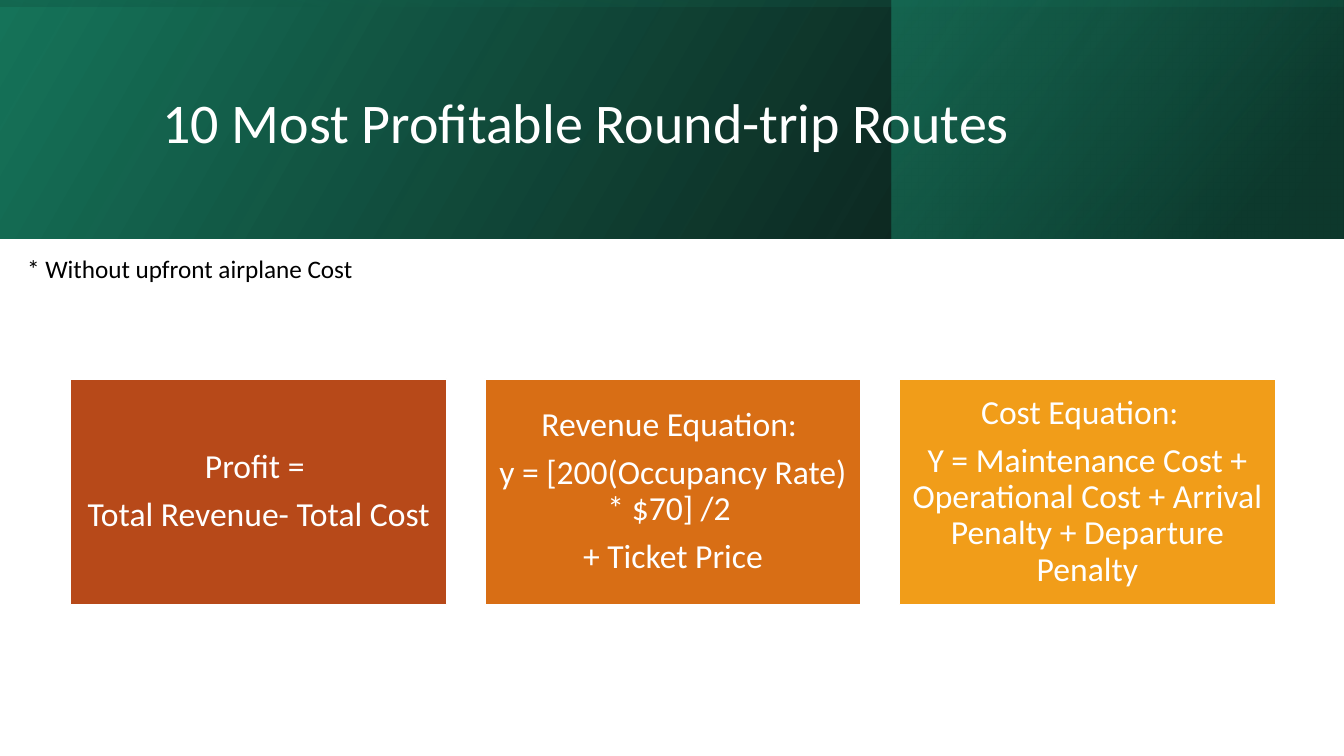
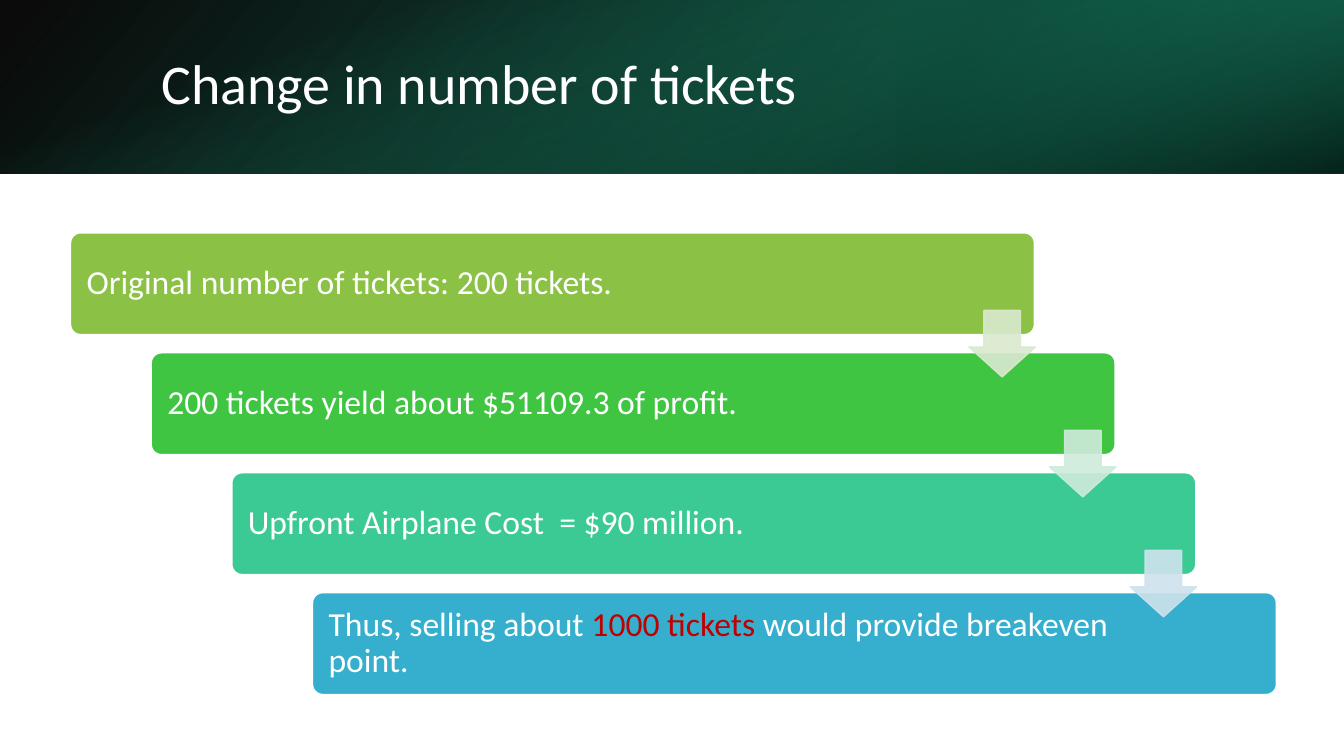
import pptx
import pptx.dml.color
import pptx.enum.shapes
import pptx.enum.text
import pptx.oxml
import pptx.oxml.ns
import pptx.util
from lxml import etree

Inches = pptx.util.Inches
Pt = pptx.util.Pt
Shape = pptx.enum.shapes.MSO_SHAPE
Align = pptx.enum.text.PP_ALIGN
Anchor = pptx.enum.text.MSO_ANCHOR
AutoSize = pptx.enum.text.MSO_AUTO_SIZE
qn = pptx.oxml.ns.qn


def rgb(value):
    return pptx.dml.color.RGBColor.from_string(value)


class Deck:
    FONT = "Calibri"
    WHITE, BLACK, RED = "FFFFFF", "000000", "C00000"
    DARK_GREEN, GREEN, BRIGHT_GREEN = "0E4D3C", "16745A", "1D9A78"
    WIDTH, HEIGHT = 13.33, 7.5
    TITLE_SIZE, BODY_SIZE, NOTE_SIZE = 40, 24, 18

    def __init__(self):
        self.presentation = pptx.Presentation()
        self.presentation.slide_width = Inches(self.WIDTH)
        self.presentation.slide_height = Inches(self.HEIGHT)
        self.slide = None

    def add_slide(self):
        title_only = self.presentation.slide_layouts[5]
        self.slide = self.presentation.slides.add_slide(title_only)

    def shape(self, kind, left, top, width, height):
        shape = self.slide.shapes.add_shape(
            kind, Inches(left), Inches(top), Inches(width), Inches(height))
        shape.shadow.inherit = False
        return shape

    def paint(self, shape, color, line_color, opacity=100):
        shape.fill.solid()
        shape.fill.fore_color.rgb = rgb(color)
        shape.line.color.rgb = rgb(line_color)
        shape.line.width = Pt(1)
        if opacity < 100:
            for element in list(shape._element.spPr.iter(qn("a:srgbClr"))):
                etree.SubElement(element, qn("a:alpha"), val=str(opacity * 1000))

    def band(self, left, width, height, stops, angle, rotation=0, flip=True):
        """Gradient band; stops are (position, color, opacity) in percent."""
        frame_width, frame_height = width, height
        if rotation % 180:
            frame_width, frame_height = height, width
        shape = self.shape(
            Shape.RECTANGLE, left + (width - frame_width) / 2,
            (height - frame_height) / 2, frame_width, frame_height)
        shape.rotation = rotation
        if flip:
            shape._element.spPr.find(qn("a:xfrm")).set("flipH", "1")
        shape.line.fill.background()
        stop_xml = "".join(
            f'<a:gs pos="{position * 1000}"><a:srgbClr val="{color}">'
            f'<a:alpha val="{opacity * 1000}"/></a:srgbClr></a:gs>'
            for position, color, opacity in stops)
        gradient = pptx.oxml.parse_xml(
            f'<a:gradFill {pptx.oxml.ns.nsdecls("a")} rotWithShape="1">'
            f'<a:gsLst>{stop_xml}</a:gsLst>'
            f'<a:lin ang="{angle * 60000}" scaled="0"/></a:gradFill>')
        shape._element.spPr.find(qn("a:prstGeom")).addnext(gradient)

    def style(self, paragraph, size, color, align=Align.LEFT):
        paragraph.alignment = align
        paragraph.font.name = self.FONT
        paragraph.font.size = Pt(size)
        paragraph.font.color.rgb = rgb(color)

    def title(self, text, left, top, width, height):
        title = self.slide.shapes.title
        title.left, title.top = Inches(left), Inches(top)
        title.width, title.height = Inches(width), Inches(height)
        frame = title.text_frame
        frame.text = text
        frame.auto_size = AutoSize.NONE
        frame.vertical_anchor = Anchor.MIDDLE
        self.style(frame.paragraphs[0], self.TITLE_SIZE, self.WHITE)
        frame.paragraphs[0].line_spacing = 0.9
        # Bring the title in front of the bands
        self.slide.shapes._spTree.append(title._element)

    def note(self, text, left, top, width, height):
        box = self.slide.shapes.add_textbox(
            Inches(left), Inches(top), Inches(width), Inches(height))
        box.text_frame.word_wrap = True
        box.text_frame.text = text
        self.style(box.text_frame.paragraphs[0], self.NOTE_SIZE, self.BLACK)

    def card(self, kind, left, top, width, height, color, paragraphs,
             align, margin_left=0.1, margin_right=0.1):
        """Filled box; each paragraph is a list of (text, color or None)."""
        shape = self.shape(kind, left, top, width, height)
        self.paint(shape, color, self.WHITE)
        frame = shape.text_frame
        frame.word_wrap = True
        frame.vertical_anchor = Anchor.MIDDLE
        frame.margin_left, frame.margin_right = Inches(margin_left), Inches(margin_right)
        frame.margin_top = frame.margin_bottom = Inches(0.1)
        for index, runs in enumerate(paragraphs):
            paragraph = frame.add_paragraph() if index else frame.paragraphs[0]
            self.style(paragraph, self.BODY_SIZE, self.WHITE, align)
            paragraph.line_spacing = 0.9
            paragraph.space_after = Pt(8.4)
            for text, run_color in runs:
                run = paragraph.add_run()
                run.text = text
                if run_color:
                    run.font.color.rgb = rgb(run_color)
        return shape

    def down_arrow(self, left, top, size, color):
        arrow = self.shape(Shape.DOWN_ARROW, left, top, size, size)
        arrow.adjustments[0], arrow.adjustments[1] = 0.55, 0.45
        self.paint(arrow, color, color, opacity=90)


def build_routes(deck):
    deck.add_slide()
    # Header
    height = 2.37
    deck.band(0, deck.WIDTH, height,
              [(0, deck.BLACK, 96), (100, deck.GREEN, 100)], 330)
    deck.band(8.84, 4.48, height,
              [(19, deck.DARK_GREEN, 68), (100, deck.BRIGHT_GREEN, 48)], 320)
    deck.band(0, deck.WIDTH, height,
              [(23, deck.GREEN, 16), (99, deck.BLACK, 45)], 350, rotation=270)
    deck.title("10 Most Profitable Round-trip Routes", 1.51, 0.38, 10.63, 1.72)

    # Equations
    equations = [
        ("B74919", ["Profit = ", "Total Revenue- Total Cost"]),
        ("D86E15", ["Revenue Equation: ", "y = [200(Occupancy Rate) * $70] /2 ",
                    "+ Ticket Price"]),
        ("F19D19", ["Cost Equation:  ", "Y = Maintenance Cost + Operational Cost "
                    "+ Arrival Penalty + Departure Penalty"]),
    ]
    for index, (color, lines) in enumerate(equations):
        deck.card(Shape.RECTANGLE, 0.7 + 4.11 * index, 3.76, 3.73, 2.24, color,
                  [[(line, None)] for line in lines], Align.CENTER)
    deck.note("* Without upfront airplane Cost", 0.17, 2.46, 3.94, 0.4)


def build_tickets(deck):
    deck.add_slide()
    # Header
    height = 1.72
    deck.band(0, deck.WIDTH, height,
              [(0, deck.BLACK, 96), (100, deck.GREEN, 100)], 140)
    deck.band(8.89, 4.44, height,
              [(19, deck.DARK_GREEN, 68), (100, deck.BRIGHT_GREEN, 79)], 320,
              rotation=180)
    deck.band(0, deck.WIDTH, height,
              [(23, deck.BRIGHT_GREEN, 0), (99, deck.BLACK, 74)], 340,
              rotation=90, flip=False)
    deck.title("Change in number of tickets", 1.5, 0.38, 10.98, 0.96)

    # Staircase of steps, then the arrows between them
    left, top, step_x, step_y = 0.7, 2.31, 0.8, 1.19
    steps = [
        ("8BC145", [("Original number of tickets: 200 tickets.", None)]),
        ("40C543", [("200 tickets yield about $51109.3 of profit.", None)]),
        ("3BCA93", [("Upfront Airplane Cost  = $90 million.", None)]),
        ("36AFCE", [("Thus, selling about ", None), ("1000 tickets ", deck.RED),
                    ("would provide breakeven point.", None)]),
    ]
    for index, (color, runs) in enumerate(steps):
        step = deck.card(Shape.ROUNDED_RECTANGLE, left + step_x * index,
                         top + step_y * index, 9.56, 1.01, color, [runs],
                         Align.LEFT, margin_left=0.13, margin_right=1.58)
        step.adjustments[0] = 0.1
    for index, color in enumerate(["DAE9CF", "CEEBDB", "CEE3ED"]):
        deck.down_arrow(left + 8.91 + step_x * index,
                        top + 0.77 + step_y * index, 0.66, color)


def main():
    deck = Deck()
    build_routes(deck)
    build_tickets(deck)
    deck.presentation.save("out.pptx")


if __name__ == "__main__":
    main()
